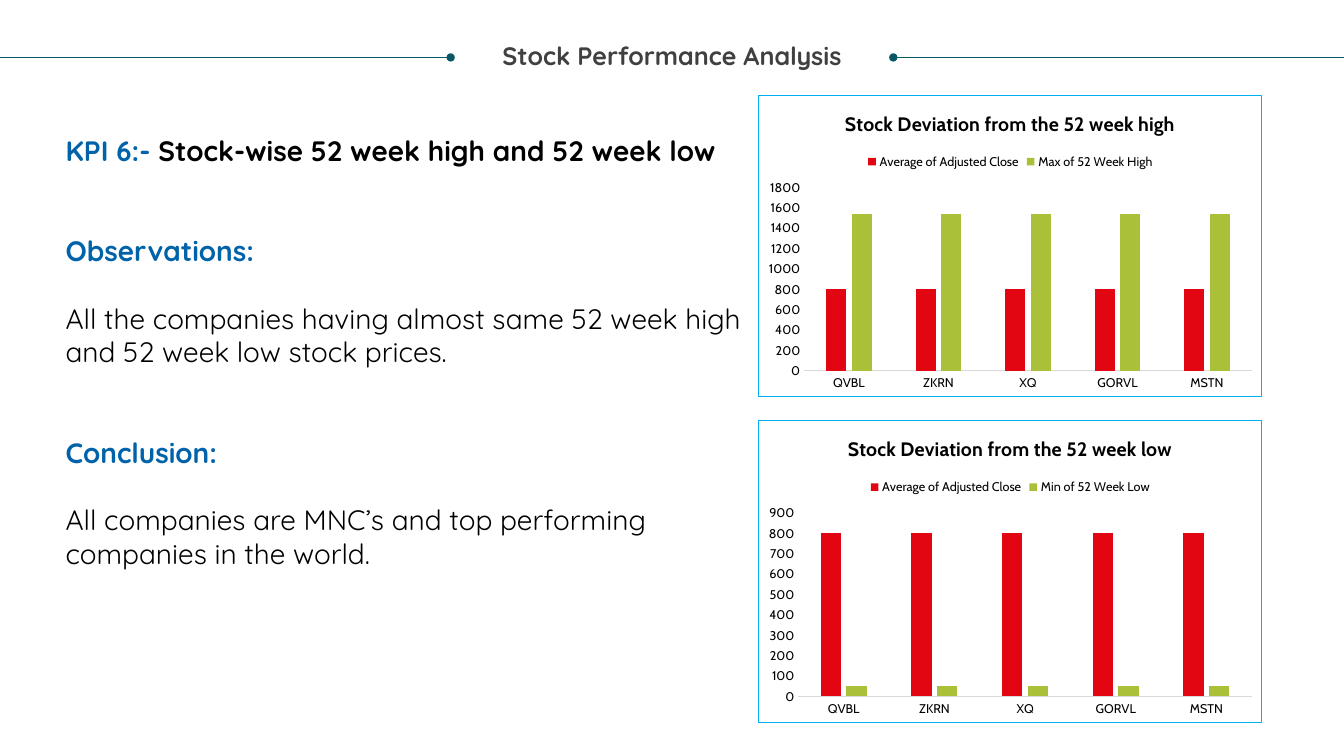
"""Build the stock performance slide with its findings and two column charts."""
from lxml import etree
from pptx import Presentation
from pptx.chart.data import CategoryChartData
from pptx.dml.color import RGBColor
from pptx.enum.chart import XL_CHART_TYPE, XL_LEGEND_POSITION, XL_TICK_MARK
from pptx.enum.shapes import MSO_CONNECTOR
from pptx.enum.text import MSO_ANCHOR, MSO_AUTO_SIZE, PP_ALIGN
from pptx.oxml import parse_xml
from pptx.oxml.ns import nsdecls, qn
from pptx.util import Inches, Pt

TEAL = RGBColor(0x08, 0x57, 0x64)
GREY = RGBColor(0x40, 0x40, 0x40)
BLUE = RGBColor(0x00, 0x62, 0xA9)
BLACK = RGBColor(0x00, 0x00, 0x00)
RED = RGBColor(0xE2, 0x06, 0x13)
GREEN = RGBColor(0xA9, 0xC0, 0x38)
AXIS_GREY = RGBColor(0xD9, 0xD9, 0xD9)
TEXT_FONT = "Quicksand"
CHART_FONT = "Cabin"


def set_font(font, name, size, color, bold=False):
    font.name = name
    font.size = Pt(size)
    font.bold = bold
    font.color.rgb = color


def place(shape, left, top, width, height):
    shape.left, shape.top = Inches(left), Inches(top)
    shape.width, shape.height = Inches(width), Inches(height)


presentation = Presentation()
presentation.slide_width = Inches(13.33)
presentation.slide_height = Inches(7.5)
slide = presentation.slides.add_slide(presentation.slide_layouts[1])

for start, end, dotted_end in [(0, 4.47, "tailEnd"), (8.86, 13.33, "headEnd")]:
    rule = slide.shapes.add_connector(
        MSO_CONNECTOR.STRAIGHT, Inches(start), Inches(0.57), Inches(end), Inches(0.57)
    )
    rule.line.color.rgb = TEAL
    rule.line.width = Pt(0.5)
    etree.SubElement(rule.line._get_or_add_ln(), qn(f"a:{dotted_end}"), type="oval")
    etree.SubElement(rule.element.spPr, qn("a:effectLst"))

title = slide.shapes.title
place(title, 0.25, 0.43, 12.83, 0.7)
title_frame = title.text_frame
title_frame.margin_left = title_frame.margin_right = 0
title_frame.margin_top = title_frame.margin_bottom = 0
title_frame.vertical_anchor = MSO_ANCHOR.TOP
title_frame.auto_size = MSO_AUTO_SIZE.NONE
title_paragraph = title_frame.paragraphs[0]
title_paragraph.alignment = PP_ALIGN.CENTER
title_paragraph.line_spacing = 0.9
title_run = title_paragraph.add_run()
title_run.text = "Stock Performance Analysis"
set_font(title_run.font, TEXT_FONT, 18, GREY, True)

findings = [
    (0, [("KPI 6:- ", BLUE, True), ("Stock-wise 52 week high and 52 week low", BLACK, True)]),
    (48, [("Observations:", BLUE, True)]),
    (24, [("All the companies having almost same 52 week high and 52 week low stock prices.", BLACK, False)]),
    (48, [("Conclusion:", BLUE, True)]),
    (24, [("All companies are MNC’s and top performing companies in the world.", BLACK, False)]),
]
body = slide.placeholders[1]
place(body, 0.55, 1.27, 6.97, 4.78)
body_frame = body.text_frame
body_frame.word_wrap = True
body_frame.vertical_anchor = MSO_ANCHOR.TOP
body_frame.auto_size = MSO_AUTO_SIZE.SHAPE_TO_FIT_TEXT
for index, (gap, runs) in enumerate(findings):
    paragraph = body_frame.paragraphs[0] if index == 0 else body_frame.add_paragraph()
    paragraph.alignment = PP_ALIGN.LEFT
    paragraph.space_before = Pt(gap)
    paragraph.line_spacing = 1.0
    properties = paragraph._p.get_or_add_pPr()
    properties.set("marL", "0")
    properties.set("indent", "0")
    etree.SubElement(properties, qn("a:buNone"))
    for text, color, bold in runs:
        run = paragraph.add_run()
        run.text = text
        set_font(run.font, TEXT_FONT, 20, color, bold)

tickers = ["QVBL", "ZKRN", "XQ", "GORVL", "MSTN"]
charts = [
    (0.94, "Stock Deviation from the 52 week high", "Max of 52 Week High", 1540, 1800, 200),
    (4.17, "Stock Deviation from the 52 week low", "Min of 52 Week Low", 50, 900, 100),
]
for top, heading, limit_name, limit, maximum, step in charts:
    chart_data = CategoryChartData()
    chart_data.categories = tickers
    chart_data.add_series("Average of Adjusted Close", [800] * len(tickers))
    chart_data.add_series(limit_name, [limit] * len(tickers))
    chart = slide.shapes.add_chart(
        XL_CHART_TYPE.COLUMN_CLUSTERED, Inches(7.52), Inches(top), Inches(5), Inches(3), chart_data
    ).chart
    set_font(chart.font, CHART_FONT, 10, BLACK)

    chart.has_title = True
    heading_run = chart.chart_title.text_frame.paragraphs[0].add_run()
    heading_run.text = heading
    set_font(heading_run.font, CHART_FONT, 14, BLACK, True)
    chart.chart_title.include_in_layout = False

    chart.has_legend = True
    chart.legend.position = XL_LEGEND_POSITION.TOP
    chart.legend.include_in_layout = False
    set_font(chart.legend.font, CHART_FONT, 9, BLACK)

    for axis in (chart.category_axis, chart.value_axis):
        axis.major_tick_mark = axis.minor_tick_mark = XL_TICK_MARK.NONE
        axis.has_major_gridlines = False
        set_font(axis.tick_labels.font, CHART_FONT, 9, BLACK)
    chart.category_axis.format.line.color.rgb = AXIS_GREY
    chart.category_axis.format.line.width = Pt(0.75)
    chart.value_axis.format.line.fill.background()
    chart.value_axis.minimum_scale = 0
    chart.value_axis.maximum_scale = maximum
    chart.value_axis.major_unit = step

    plot = chart.plots[0]
    plot.vary_by_categories = False
    plot.gap_width = 219
    plot.overlap = -27
    for series, color in zip(plot.series, (RED, GREEN)):
        series.format.fill.solid()
        series.format.fill.fore_color.rgb = color

    border = parse_xml(
        f'<c:spPr {nsdecls("c", "a")}><a:solidFill><a:srgbClr val="FFFFFF"/></a:solidFill>'
        '<a:ln w="9525"><a:solidFill><a:srgbClr val="00B0F0"/></a:solidFill></a:ln></c:spPr>'
    )
    chart.element.find(qn("c:chart")).addnext(border)

presentation.save("out.pptx")
